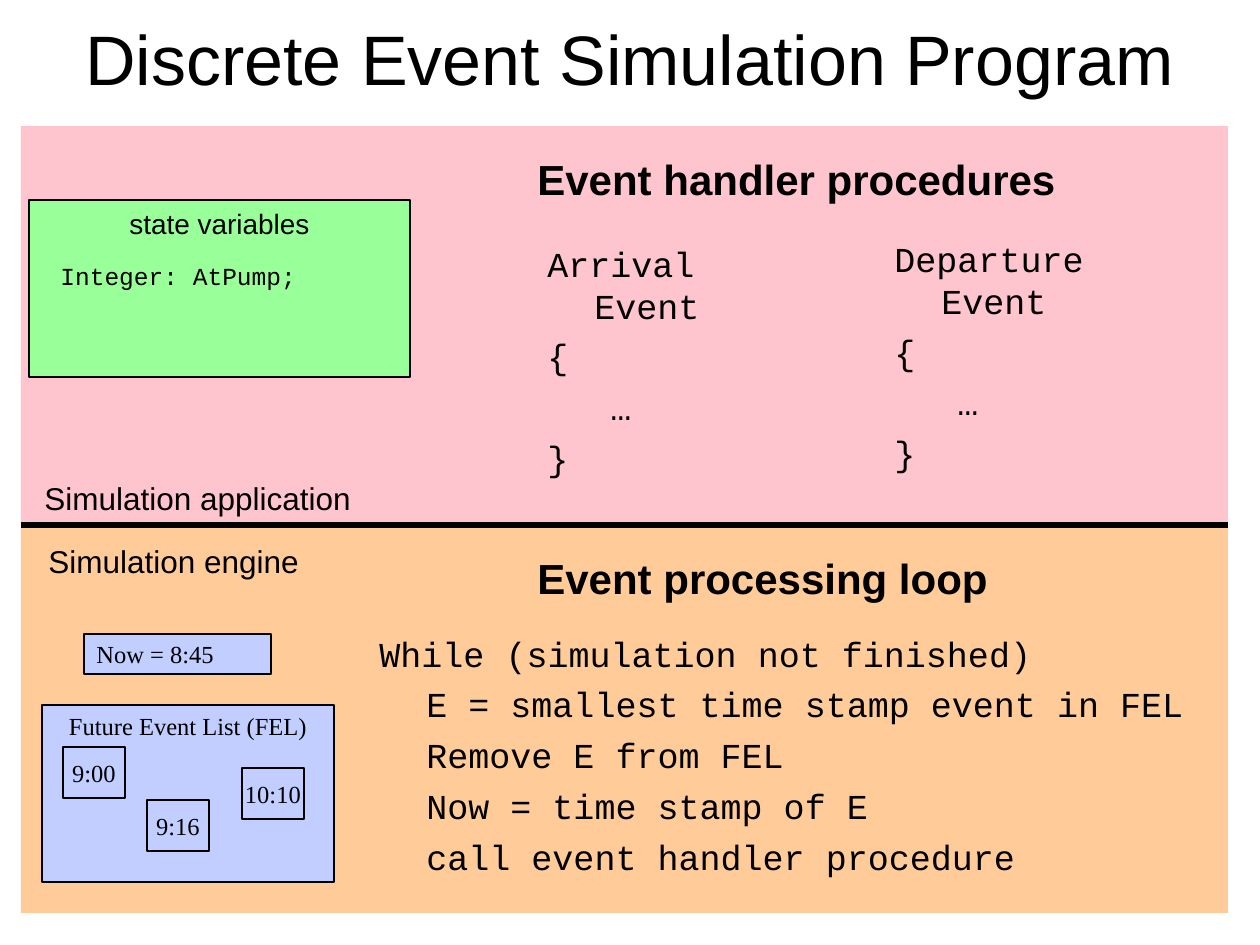
"""Build the slide that outlines a discrete event simulation program."""
from lxml.etree import SubElement
from pptx import Presentation
from pptx.dml.color import RGBColor
from pptx.enum.shapes import MSO_CONNECTOR, MSO_SHAPE
from pptx.enum.text import MSO_ANCHOR, PP_ALIGN
from pptx.oxml.ns import qn
from pptx.util import Pt

SCALE = 914400 / 126
BLACK, PINK, GREEN, ORANGE, BLUE = "000000", "FFC5CF", "99FF99", "FFCC99", "C1CEFF"
SANS, MONO, SERIF = "Arial", "Courier New", "Times New Roman"


def px(length):
    return round(length * SCALE)


def write(text, box, *, size=14, font=SANS, bold=False, fill=None, outline=False,
          align=PP_ALIGN.LEFT, anchor=MSO_ANCHOR.TOP, wrap=False, before=0, indents=((0, 0),)):
    place = [px(length) for length in box]
    if fill:
        holder = slide.shapes.add_shape(MSO_SHAPE.RECTANGLE, *place)
        holder.shadow.inherit = False
        holder.fill.solid()
        holder.fill.fore_color.rgb = RGBColor.from_string(fill)
        if outline:
            holder.line.color.rgb = RGBColor.from_string(BLACK)
            holder.line.width = Pt(1)
        else:
            holder.line.fill.background()
    else:
        holder = slide.shapes.add_textbox(*place)
    frame = holder.text_frame
    frame.word_wrap = wrap
    frame.vertical_anchor = anchor
    frame.text = text
    for paragraph, (margin, first) in zip(frame.paragraphs, indents):
        paragraph.alignment = align
        paragraph.space_before = Pt(before)
        properties = paragraph._p.get_or_add_pPr()
        properties.set("marL", str(px(margin)))
        properties.set("indent", str(px(first)))
        for run in paragraph.runs:
            run.font.name = font
            run.font.size = Pt(size)
            run.font.bold = bold
            run.font.color.rgb = RGBColor.from_string(BLACK)


deck = Presentation()
deck.slide_width, deck.slide_height = px(1260), px(945)
slide = deck.slides.add_slide(deck.slide_layouts[6])

centred = {"align": PP_ALIGN.CENTER}
middle = {"anchor": MSO_ANCHOR.MIDDLE}
heading = {"size": 24, "bold": True, "wrap": True, "before": 6, "indents": [(102, -39)]}
code = {"size": 20, "font": MONO, "wrap": True, "before": 5}
event_box = {"font": SERIF, "fill": BLUE, "outline": True}
area_label = {"size": 18, "wrap": True}

write("Discrete Event Simulation Program", (31, -21, 1197, 157), size=40, wrap=True,
      **centred, **middle)

write("", (21, 126, 1207, 399), fill=PINK)
write("state variables", (29, 200, 381, 177), size=16, fill=GREEN, outline=True, **centred)
write("Integer: AtPump;", (48, 255, 261, 42), font=MONO)
write("Event handler procedures", (462, 147, 609, 63), **heading)
write("Simulation application", (32, 473, 345, 50), **area_label)
for handler, left, top, width in (("Arrival", 535, 236, 242), ("Departure", 882, 231, 221)):
    write(f"{handler} Event\n{{\n…\n}}", (left, top, width, 248),
          indents=[(47, -47), (47, -47), (63, 0), (47, -47)], **code)

write("", (21, 525, 1207, 388), fill=ORANGE)
write("Future Event List (FEL)", (42, 705, 292, 177), **event_box, **centred)
for time, left, top in (("9:00", 63, 747), ("9:16", 147, 800), ("10:10", 242, 768)):
    write(time, (left, top, 62, 51), **event_box, **centred, **middle)
write("Now = 8:45", (84, 634, 187, 40), wrap=True, **event_box, **middle)

divider = slide.shapes.add_connector(MSO_CONNECTOR.STRAIGHT, px(21), px(525), px(1228), px(525))
divider.line.color.rgb = RGBColor.from_string(BLACK)
divider.line.width = Pt(3)
SubElement(divider._element.spPr, qn("a:effectLst"))

write("Simulation engine", (36, 536, 290, 50), **area_label)
write("Event processing loop", (462, 546, 609, 63), **heading)
loop_lines = (
    "While (simulation not finished)",
    "E = smallest time stamp event in FEL",
    "Remove E from FEL",
    "Now = time stamp of E",
    "call event handler procedure",
)
write("\n".join(loop_lines), (367, 626, 840, 257),
      indents=[(47, -47)] + [(47, 0)] * (len(loop_lines) - 1), **code)

deck.save("out.pptx")
